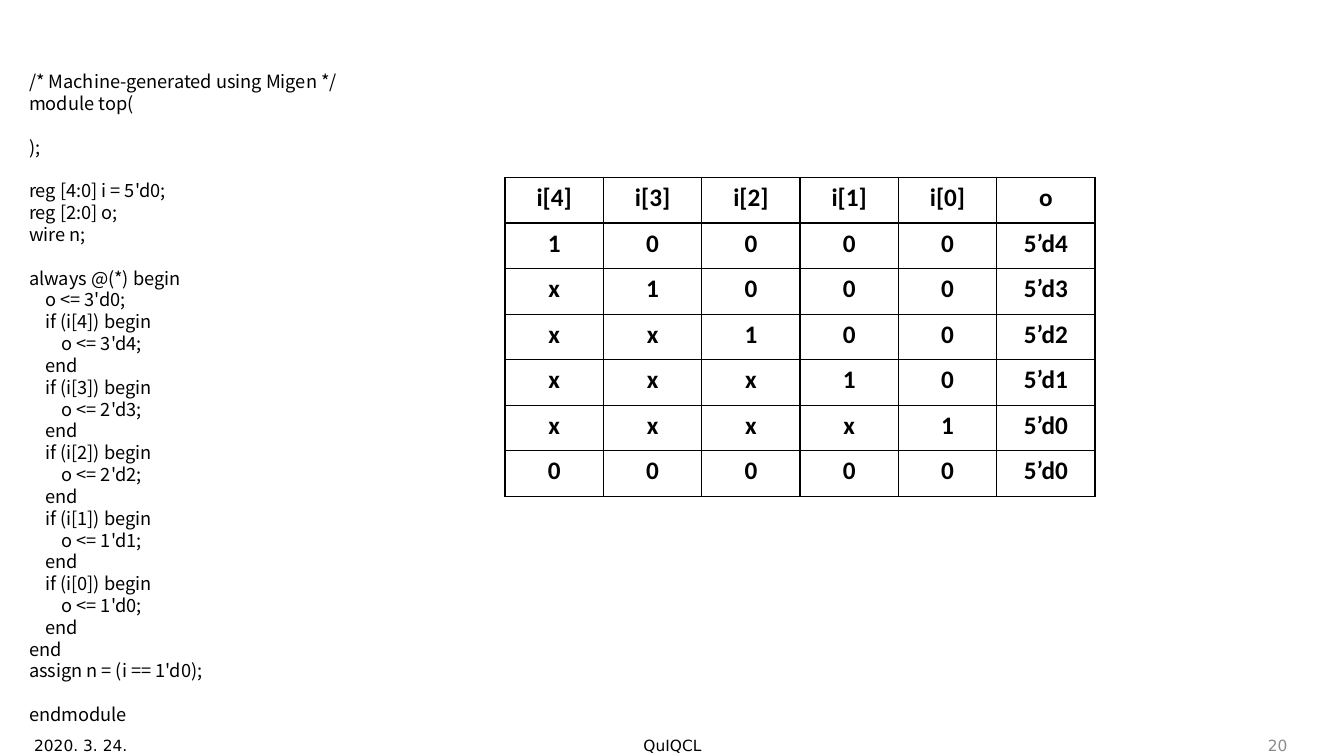
from dataclasses import dataclass

from lxml import etree
from pptx import Presentation
from pptx import util as u
from pptx.dml.color import RGBColor
from pptx.enum import text
from pptx.oxml.ns import qn


@dataclass(frozen=True)
class Theme:
    ink: RGBColor = RGBColor(0, 0, 0)
    muted: RGBColor = RGBColor(0x8C, 0x8C, 0x8C)
    paper: RGBColor = RGBColor(255, 255, 255)
    code_font: str = "Noto Sans CJK KR"
    table_font: str = "Calibri"
    footer_font: str = "DejaVu Sans"
    code_size: u.Pt = u.Pt(13)
    code_pitch: u.Pt = u.Pt(15.6)
    table_size: u.Pt = u.Pt(18)
    footer_size: u.Pt = u.Pt(11)
    border: u.Pt = u.Pt(1)


THEME = Theme()
WIDTH, HEIGHT = u.Inches(13.33), u.Inches(7.5)
INDENT = "\u00a0" * 3 + " "
BITS = 5
BRANCHES = ((4, 3), (3, 2), (2, 2), (1, 1), (0, 1))
HEADER = ["/* Machine-generated using Migen */", "module top(", "", ");", "",
          "reg [4:0] i = 5'd0;", "reg [2:0] o;", "wire n;"]


def share(x, y, w, h):
    return [int(v * side / 100) for v, side in
            zip((x, y, w, h), (WIDTH, HEIGHT, WIDTH, HEIGHT))]


def apply(target, values):
    for name, value in values.items():
        setattr(target, name, value)


def style_run(r, size, name, color, bold=False):
    apply(r.font, {"size": size, "name": name, "bold": bold})
    r.font.color.rgb = color


def add_box(s, area, **frame):
    tf = s.shapes.add_textbox(*area).text_frame
    apply(tf, {"word_wrap": True, **frame})
    return tf


def encoder_body():
    lines = ["", "always @(*) begin", INDENT + "o <= 3'd0;"]
    for bit, width in BRANCHES:
        lines += [f"{INDENT}if (i[{bit}]) begin",
                  f"{INDENT * 2}o <= {width}'d{bit};",
                  INDENT + "end"]
    return lines + ["end", "assign n = (i == 1'd0);", "", "endmodule"]


def add_code(s, area, blocks):
    tf = add_box(s, area)
    for index, lines in enumerate(blocks):
        p = tf.paragraphs[0] if index == 0 else tf.add_paragraph()
        p.line_spacing = THEME.code_pitch
        p.text = "\v".join(lines)
        for r in p.runs:
            style_run(r, THEME.code_size, THEME.code_font, THEME.ink)
        for br in p._p.findall(qn("a:br")):
            etree.SubElement(br, qn("a:rPr"), sz=str(int(THEME.code_size.pt * 100)))


def truth_rows():
    bits = range(BITS)
    rows = [[f"i[{bit}]" for bit in reversed(bits)] + ["o"]]
    for one in bits:
        rows.append(["x"] * one + ["1"] + ["0"] * (BITS - 1 - one)
                    + [f"5’d{BITS - 1 - one}"])
    return rows + [["0"] * BITS + ["5’d0"]]


def add_borders(cell):
    tcPr = cell._tc.get_or_add_tcPr()
    for index, side in enumerate(("lnL", "lnR", "lnT", "lnB")):
        ln = etree.Element(qn("a:" + side), w=str(int(THEME.border)))
        fill = etree.SubElement(ln, qn("a:solidFill"))
        etree.SubElement(fill, qn("a:srgbClr"), val=str(THEME.ink))
        tcPr.insert(index, ln)


def add_truth_table(s, area, rows):
    table = s.shapes.add_table(len(rows), len(rows[0]), *area).table
    for row, values in zip(table.rows, rows):
        for cell, value in zip(row.cells, values):
            cell.fill.solid()
            cell.fill.fore_color.rgb = THEME.paper
            add_borders(cell)
            p = cell.text_frame.paragraphs[0]
            p.alignment = text.PP_ALIGN.CENTER
            r = p.add_run()
            r.text = value
            style_run(r, THEME.table_size, THEME.table_font, THEME.ink, True)


def add_footer(s, area, label, align, color):
    tf = add_box(s, area, vertical_anchor=text.MSO_ANCHOR.MIDDLE)
    p = tf.paragraphs[0]
    p.alignment = align
    r = p.add_run()
    r.text = label
    style_run(r, THEME.footer_size, THEME.footer_font, color)


def main():
    prs = Presentation()
    apply(prs, {"slide_width": WIDTH, "slide_height": HEIGHT})
    s = prs.slides.add_slide(prs.slide_layouts[6])
    add_code(s, share(1.43, 8.67, 50, 88.8), (HEADER, encoder_body()))
    add_truth_table(s, share(37.58, 23.47, 43.9, 42.2), truth_rows())
    align = text.PP_ALIGN
    for x, w, label, side, color in (
            (1.8, 22.5, "2020. 3. 24.", align.LEFT, THEME.ink),
            (33.16, 33.76, "QuIQCL", align.CENTER, THEME.ink),
            (74.04, 22.5, "20", align.RIGHT, THEME.muted)):
        add_footer(s, share(x, 95.87, w, 5.33), label, side, color)
    prs.save("out.pptx")


if __name__ == "__main__":
    main()
